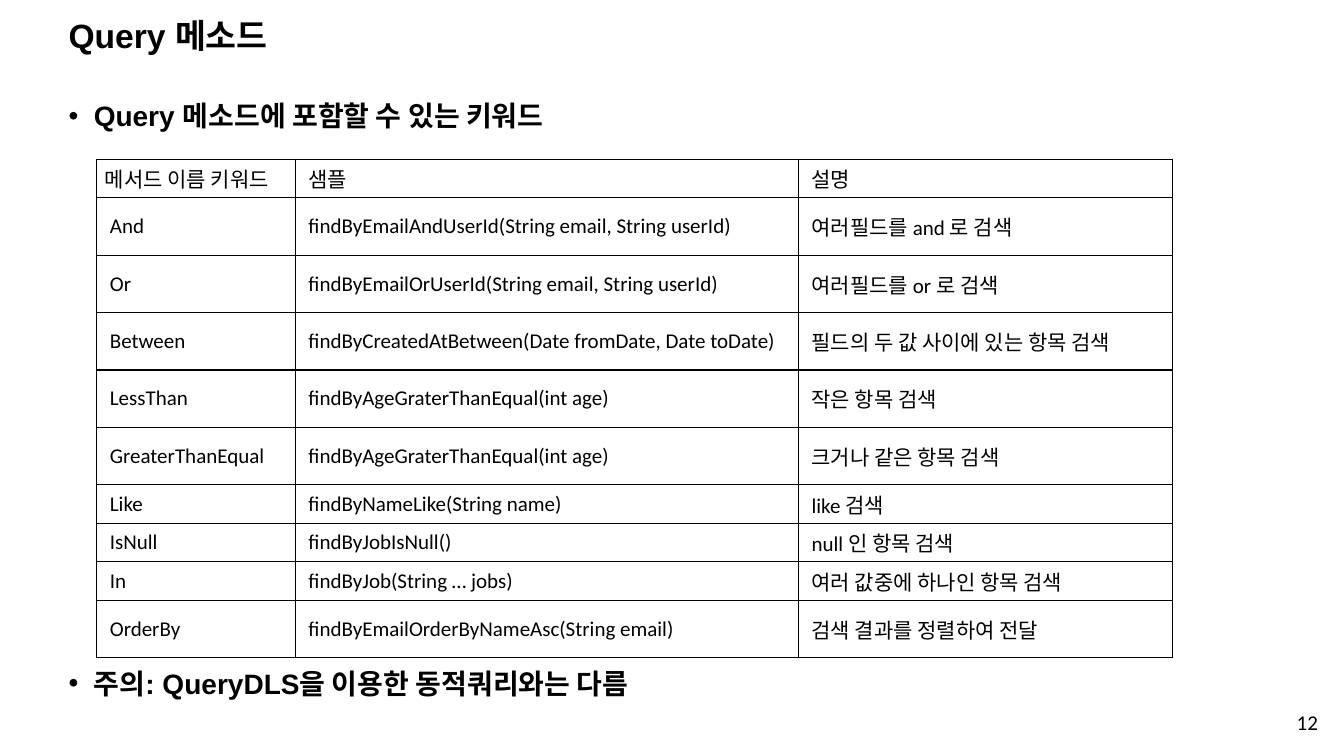
from lxml.etree import SubElement
from pptx import Presentation
from pptx.dml.color import RGBColor
from pptx.enum.text import MSO_ANCHOR, MSO_AUTO_SIZE, PP_ALIGN
from pptx.oxml.ns import qn
from pptx.util import Inches, Pt

COLORS = {"text": "000000", "border": "000000", "cell": "FFFFFF"}


def write(paragraph, text, size=15, font="Calibri", bold=False,
          align=PP_ALIGN.LEFT, spacing=1.0, before=0):
    paragraph.alignment = align
    paragraph.line_spacing = spacing
    paragraph.space_before = Pt(before)
    run = paragraph.add_run()
    run.text = text
    run.font.size = Pt(size)
    run.font.name = font
    run.font.bold = bold
    run.font.color.rgb = RGBColor.from_string(COLORS["text"])


def place(shape, left, top, width, height):
    shape.left, shape.top = Inches(left), Inches(top)
    shape.width, shape.height = Inches(width), Inches(height)
    shape.text_frame.word_wrap = True
    shape.text_frame.auto_size = MSO_AUTO_SIZE.NONE


presentation = Presentation()
presentation.slide_width = Inches(13.33)
presentation.slide_height = Inches(7.5)
slide = presentation.slides.add_slide(presentation.slide_layouts[1])

title = slide.shapes.title
place(title, 0.58, 0.18, 11.5, 0.38)
title.text_frame.vertical_anchor = MSO_ANCHOR.MIDDLE
write(title.text_frame.paragraphs[0], "Query 메소드", size=24, font="Arial",
      bold=True, spacing=0.9)

body = slide.placeholders[1]
place(body, 0.58, 0.83, 12.14, 6.28)
bullets = [
    ("Query 메소드에 포함할 수 있는 키워드", 10),
    ("주의: QueryDLS을 이용한 동적쿼리와는 다름", 374),
]
for index, (text, before) in enumerate(bullets):
    frame = body.text_frame
    paragraph = frame.paragraphs[0] if index == 0 else frame.add_paragraph()
    write(paragraph, text, size=20, font="Arial", bold=True, spacing=1.3, before=before)
    properties = paragraph._p.get_or_add_pPr()
    properties.set("marL", str(Inches(0.25)))
    properties.set("indent", str(-Inches(0.25)))
    SubElement(properties, qn("a:buFont"), typeface="Arial")
    SubElement(properties, qn("a:buChar"), char="•")

page_number = slide.shapes.add_textbox(0, 0, 0, 0)
place(page_number, 9.42, 6.95, 3.75, 0.42)
page_number.text_frame.vertical_anchor = MSO_ANCHOR.MIDDLE
write(page_number.text_frame.paragraphs[0], "12", align=PP_ALIGN.RIGHT)

SHORT, TALL = 0.33, 0.57
keywords = [
    (SHORT, "메서드 이름 키워드", "샘플", "설명"),
    (TALL, "And", "findByEmailAndUserId(String email, String userId)", "여러필드를 and 로 검색"),
    (TALL, "Or", "findByEmailOrUserId(String email, String userId)", "여러필드를 or 로 검색"),
    (TALL, "Between", "findByCreatedAtBetween(Date fromDate, Date toDate)",
     "필드의 두 값 사이에 있는 항목 검색"),
    (TALL, "LessThan", "findByAgeGraterThanEqual(int age)", "작은 항목 검색"),
    (TALL, "GreaterThanEqual", "findByAgeGraterThanEqual(int age)", "크거나 같은 항목 검색"),
    (SHORT, "Like", "findByNameLike(String name)", "like 검색"),
    (SHORT, "IsNull", "findByJobIsNull()", "null 인 항목 검색"),
    (SHORT, "In", "findByJob(String … jobs)", "여러 값중에 하나인 항목 검색"),
    (TALL, "OrderBy", "findByEmailOrderByNameAsc(String email)", "검색 결과를 정렬하여 전달"),
]
column_widths = [1.97, 4.99, 3.71]
table = slide.shapes.add_table(
    len(keywords), len(column_widths), Inches(0.96), Inches(1.58),
    Inches(sum(column_widths)), Inches(sum(row[0] for row in keywords))).table
table.first_row = False
table.horz_banding = False
for column, width in zip(table.columns, column_widths):
    column.width = Inches(width)

for row_index, (height, *texts) in enumerate(keywords):
    table.rows[row_index].height = Inches(height)
    for column_index, text in enumerate(texts):
        cell = table.cell(row_index, column_index)
        cell.vertical_anchor = MSO_ANCHOR.MIDDLE
        cell.margin_left = Inches(0.08 if row_index == column_index == 0 else 0.13)
        cell.margin_right = Inches(0.08)
        cell.margin_top = cell.margin_bottom = Inches(0.04)
        write(cell.text_frame.paragraphs[0], text)
        properties = cell._tc.get_or_add_tcPr()
        for side in ("lnL", "lnR", "lnT", "lnB"):
            line = SubElement(properties, qn(f"a:{side}"), w=str(Pt(1)))
            fill = SubElement(line, qn("a:solidFill"))
            SubElement(fill, qn("a:srgbClr"), val=COLORS["border"])
        cell.fill.solid()
        cell.fill.fore_color.rgb = RGBColor.from_string(COLORS["cell"])

presentation.save("out.pptx")
